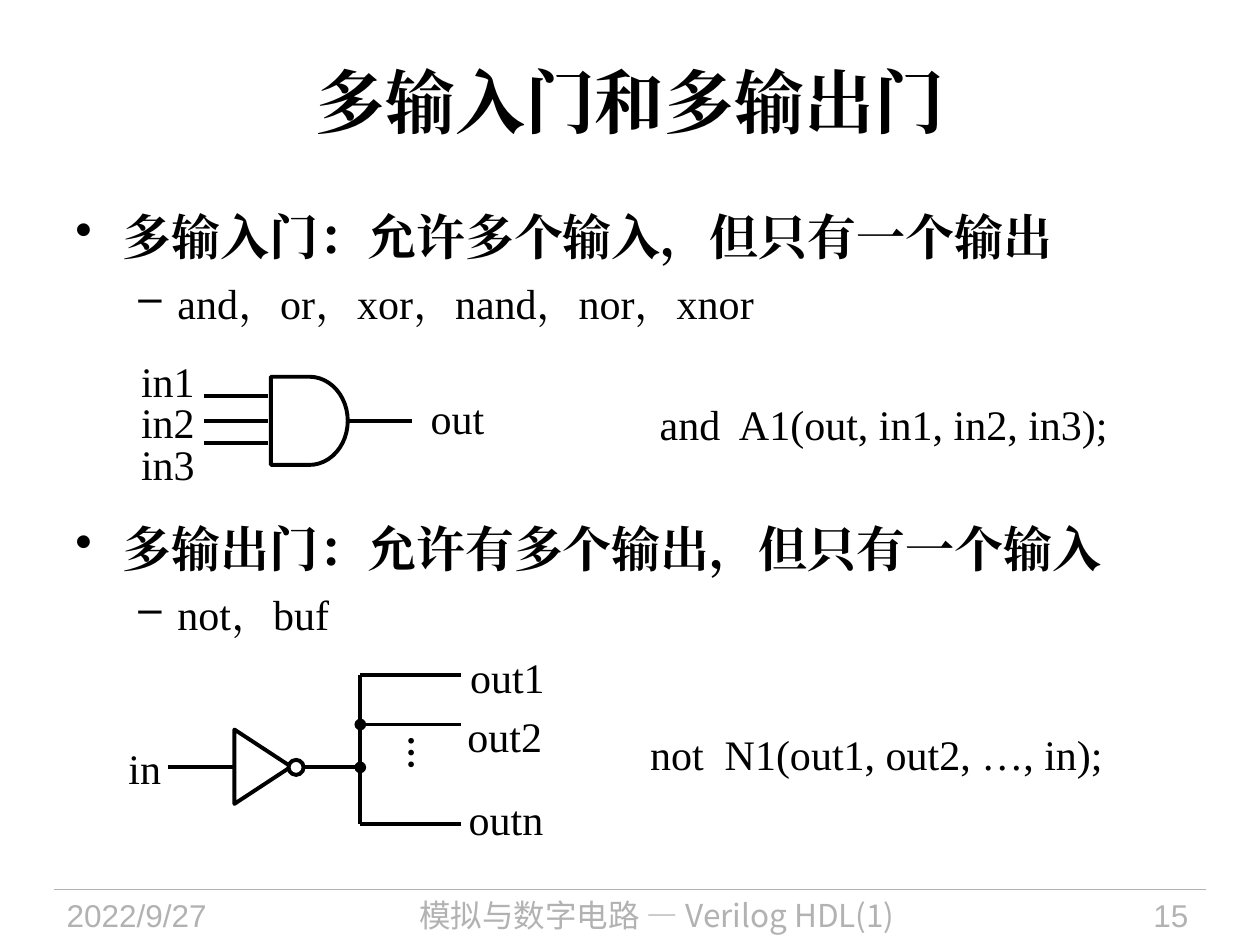
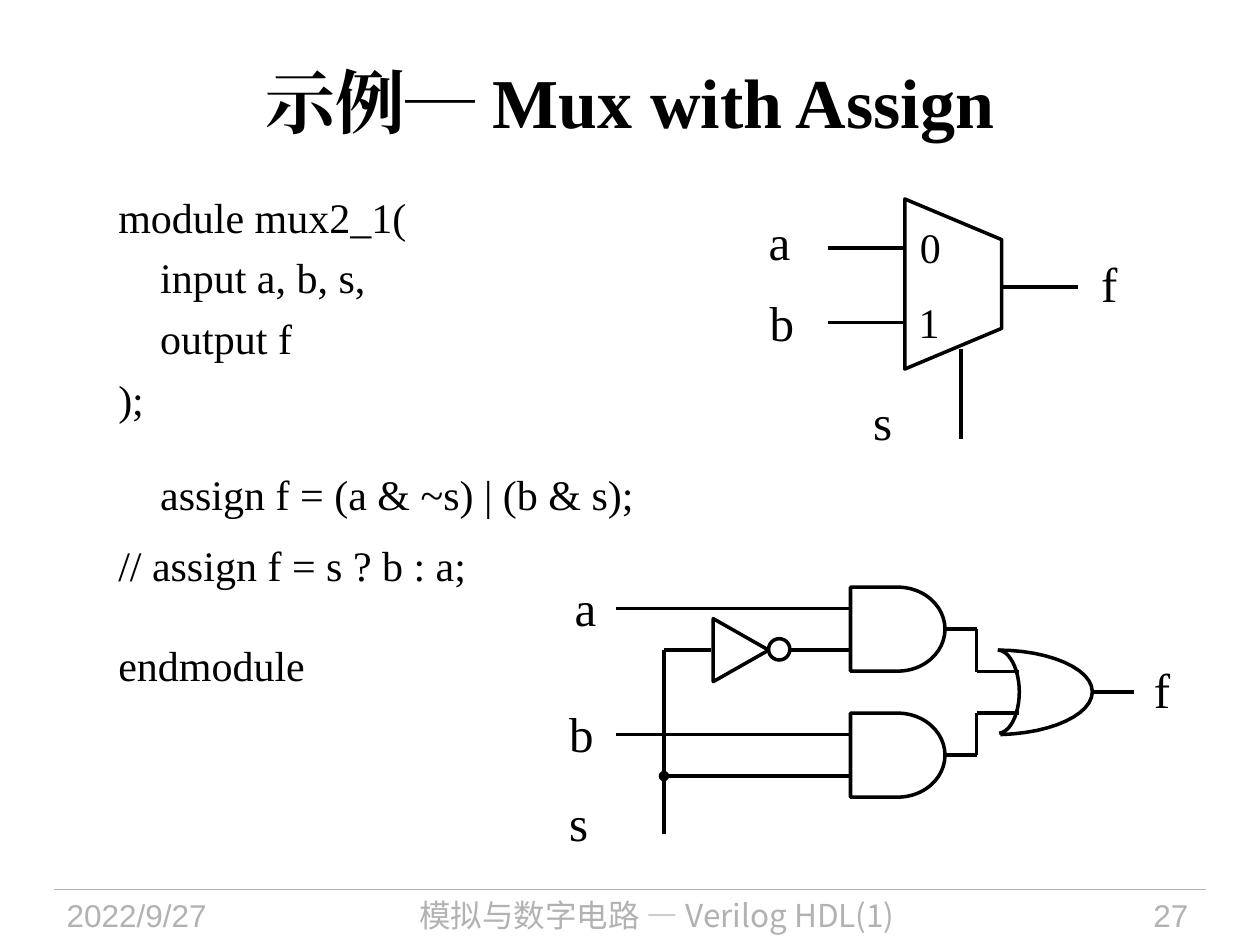
from dataclasses import dataclass

from lxml import etree
from pptx import Presentation
from pptx.dml.color import RGBColor
from pptx.enum.shapes import MSO_CONNECTOR, MSO_SHAPE
from pptx.enum.text import MSO_ANCHOR, PP_ALIGN
from pptx.oxml.ns import qn
from pptx.util import Pt

BLACK = RGBColor(0x00, 0x00, 0x00)
WHITE = RGBColor(0xFF, 0xFF, 0xFF)
GRAY = RGBColor(0xB2, 0xB2, 0xB2)
SERIF, SANS, CJK = "Times New Roman", "Arial", "Noto Sans CJK SC"
LEFT, CENTER, RIGHT = PP_ALIGN.LEFT, PP_ALIGN.CENTER, PP_ALIGN.RIGHT
TOP, MIDDLE = MSO_ANCHOR.TOP, MSO_ANCHOR.MIDDLE
STRAIGHT = MSO_CONNECTOR.STRAIGHT
AND_GATE = MSO_SHAPE.FLOWCHART_DELAY
EXTRACT = MSO_SHAPE.FLOWCHART_EXTRACT
TRIANGLE = MSO_SHAPE.ISOSCELES_TRIANGLE
TRAPEZOID = MSO_SHAPE.TRAPEZOID
CIRCLE = MSO_SHAPE.OVAL
RIGHT_SIDE = 3
THICK, MEDIUM, THIN = 2.25, 2, 0.75
CURVE_STEPS = 12


@dataclass(frozen=True)
class Span:
    text: str
    size: float = 24
    font: str = SERIF
    color: RGBColor = BLACK
    bold: bool = False


@dataclass(frozen=True)
class Line:
    spans: tuple[Span, ...]
    before: float = 0
    bullet: str = ""
    margin: float = 0
    hanging: float = 0


@dataclass(frozen=True)
class Label:
    text: str
    left: float
    top: float
    width: float
    height: float
    size: float = 24
    align: PP_ALIGN = LEFT
    inset: bool = False
    spacing: float = 1.0


@dataclass(frozen=True)
class Wire:
    x1: float
    y1: float
    x2: float
    y2: float
    head: bool = False
    tail: bool = False


def add_text(slide, box, lines, align=LEFT, anchor=TOP, inset=True, spacing=1.0):
    frame = slide.shapes.add_textbox(*map(Pt, box)).text_frame
    frame.word_wrap = True
    frame.vertical_anchor = anchor
    if not inset:
        frame.margin_left = frame.margin_right = 0
        frame.margin_top = frame.margin_bottom = 0
    for index, line in enumerate(lines):
        paragraph = frame.add_paragraph() if index else frame.paragraphs[0]
        paragraph.alignment = align
        paragraph.line_spacing = spacing
        if line.before:
            paragraph.space_before = Pt(line.before)
        if line.bullet:
            properties = paragraph._p.get_or_add_pPr()
            properties.set("marL", str(Pt(line.margin)))
            properties.set("indent", str(-Pt(line.hanging)))
            etree.SubElement(properties, qn("a:buChar")).set("char", line.bullet)
        for span in line.spans:
            run = paragraph.add_run()
            run.text = span.text
            run.font.size = Pt(span.size)
            run.font.bold = span.bold
            run.font.color.rgb = span.color
            run.font.name = span.font
            east_asian = etree.SubElement(run._r.get_or_add_rPr(), qn("a:ea"))
            east_asian.set("typeface", span.font)
    return frame


def add_labels(slide, labels: list[Label]) -> None:
    for label in labels:
        box = (label.left, label.top, label.width, label.height)
        add_text(slide, box, [Line((Span(label.text, label.size),))],
                 label.align, inset=label.inset, spacing=label.spacing)


def add_wire(slide, wire: Wire, weight: float, color: RGBColor = BLACK):
    ends = (wire.x1, wire.y1, wire.x2, wire.y2)
    connector = slide.shapes.add_connector(STRAIGHT, *map(Pt, ends))
    connector.line.width = Pt(weight)
    connector.line.color.rgb = color
    outline = connector.line._get_or_add_ln()
    for tag, dotted in (("a:headEnd", wire.head), ("a:tailEnd", wire.tail)):
        if dotted:
            etree.SubElement(outline, qn(tag)).set("type", "oval")
    etree.SubElement(connector._element.spPr, qn("a:effectLst"))
    return connector


def add_wires(slide, wires: list[Wire], weight: float) -> None:
    for wire in wires:
        add_wire(slide, wire, weight)


def style_outline(shape, weight: float, filled: bool = False) -> None:
    shape.shadow.inherit = False
    if filled:
        shape.fill.solid()
        shape.fill.fore_color.rgb = WHITE
    else:
        shape.fill.background()
    shape.line.color.rgb = BLACK
    shape.line.width = Pt(weight)


def add_symbol(slide, kind, box, weight: float, filled=False, rotation=0):
    symbol = slide.shapes.add_shape(kind, *map(Pt, box))
    style_outline(symbol, weight, filled)
    symbol.rotation = rotation
    return symbol


def add_and_gate(slide, box, output_x: float, weight: float) -> None:
    left, top, width, height = box
    gate = add_symbol(slide, AND_GATE, box, weight)
    middle = top + height / 2
    output = add_wire(slide, Wire(left + width, middle, output_x, middle), weight)
    output.begin_connect(gate, RIGHT_SIDE)


def bezier(p0, p1, p2, p3) -> list[tuple[int, int]]:
    points = []
    for step in range(1, CURVE_STEPS + 1):
        t = step / CURVE_STEPS
        weights = ((1 - t) ** 3, 3 * t * (1 - t) ** 2, 3 * t * t * (1 - t), t ** 3)
        points.append(tuple(
            Pt(sum(w * p[axis] for w, p in zip(weights, (p0, p1, p2, p3))))
            for axis in (0, 1)))
    return points


def add_curve(slide, knots, weight: float) -> None:
    builder = slide.shapes.build_freeform(*map(Pt, knots[0]))
    for start in range(0, len(knots) - 1, 3):
        builder.add_line_segments(bezier(*knots[start:start + 4]), close=False)
    style_outline(builder.convert_to_shape(), weight)


def new_slide(deck, title: tuple[Span, ...], number: str):
    slide = deck.slides.add_slide(deck.slide_layouts[6])
    add_wire(slide, Wire(31, 508.3, 689, 508.3), THIN, GRAY)
    add_text(slide, (36, 12.2, 648, 90), [Line(title)], CENTER, MIDDLE)
    footers = (
        ("2022/9/27", 31, 135.4, SANS, LEFT),
        ("模拟与数字电路 — Verilog HDL(1)", 172.8, 405.4, CJK, CENTER),
        (number, 590.4, 95.8, SANS, RIGHT),
    )
    for text, left, width, font, align in footers:
        add_text(slide, (left, 508.3, width, 31.7),
                 [Line((Span(text, 18, font, GRAY),))], align)
    return slide


def topic(text: str, before: float = 0) -> Line:
    return Line((Span(text, 28, bold=True),), before, "•", 27, 27)


def gate_names(text: str) -> Line:
    return Line((Span(text),), 6.7, "–", 58.3, 22.3)


def build_gates_slide(deck) -> None:
    slide = new_slide(deck, (Span("多输入门和多输出门", 40, bold=True),), "15")
    add_text(slide, (36, 114.5, 648, 388), [
        topic("多输入门：允许多个输入，但只有一个输出"),
        gate_names("and，or，xor，nand，nor，xnor"),
        topic("多输出门：允许有多个输出，但只有一个输入", 109),
        gate_names("not，buf"),
    ])
    for call, box in (
        ("and  A1(out, in1, in2, in3);", (366, 223.9, 277.9, 36)),
        ("not  N1(out1, out2, …, in);", (362.9, 412.6, 275.8, 36)),
    ):
        add_text(slide, box, [Line((Span(call),))], CENTER, MIDDLE)

    add_and_gate(slide, (154.8, 215.3, 43.9, 50.4), 235.4, THICK)
    add_wires(slide, [Wire(116.6, y, 153.4, y) for y in (226.1, 240.5, 253.4)], THICK)
    add_labels(slide, [Label(f"in{i + 1}", 80.6, 203 + 23.8 * i, 37.4, 28.8)
                       for i in range(3)])

    bus_x, branch_end = 205.9, 263.5
    top_y, middle_y, bottom_y = 385.9, 414, 470.9
    add_wires(slide, [
        Wire(249.1, 463, 249.1, 463),
        Wire(bus_x, bottom_y, bus_x, top_y),
        Wire(bus_x, top_y, branch_end, top_y),
        Wire(bus_x, middle_y, branch_end, middle_y, head=True),
        Wire(bus_x, bottom_y, branch_end, bottom_y),
        Wire(95.8, 438.5, bus_x, 438.5, tail=True),
    ], THICK)
    add_labels(slide, [
        Label("out", 239, 221, 50.4, 36, inset=True),
        Label("in", 73.4, 424.1, 29.5, 23),
        Label("out1", 268.6, 372.2, 46, 36),
        Label("out2", 267.1, 406.1, 46, 22.3),
        Label("outn", 267.8, 453.6, 46, 23.8),
    ])
    ellipsis = add_text(slide, (229.7, 420.5, 23.8, 44.6),
                        [Line((Span("…", 20, bold=True),))], anchor=MIDDLE, inset=False)
    ellipsis._txBody.bodyPr.set("vert", "eaVert")
    add_symbol(slide, EXTRACT, (128.9, 421.9, 42.5, 32.4), THICK, True, 90)
    add_symbol(slide, CIRCLE, (164.9, 434.2, 8.6, 8.6), THICK, True)


def build_mux_slide(deck) -> None:
    slide = new_slide(deck, (
        Span("示例", 40, bold=True),
        Span("─", 40, CJK, bold=True),
        Span(" Mux with Assign", 40, bold=True),
    ), "27")
    code = (
        ("module mux2_1(", 0),
        ("    input a, b, s,", 5.8),
        ("    output f", 5.8),
        (");", 5.8),
        ("    assign f = (a & ~s) | (b & s);", 25.6),
        ("// assign f = s ? b : a;", 11.8),
        ("endmodule", 28.4),
    )
    add_text(slide, (60.5, 105.8, 517.7, 396.7),
             [Line((Span(text),), before) for text, before in code])

    join_x, select_x, input_x, gate_x = 558, 379.4, 352.1, 486
    for gate_top in (335.5, 407.5):
        add_and_gate(slide, (gate_x, gate_top, 54, 48), join_x, MEDIUM)
    add_wires(slide, [
        Wire(input_x, 347.8, gate_x, 347.8),
        Wire(input_x, 419.8, gate_x, 419.8),
        Wire(select_x, 443.5, gate_x, 443.5, head=True),
        Wire(select_x, 371.5, select_x, 476.6),
        Wire(select_x, 371.5, 406.1, 371.5),
        Wire(451.4, 371.5, gate_x, 371.5),
        Wire(join_x, 359.5, join_x, 383.8),
        Wire(join_x, 407.5, join_x, 431.5),
        Wire(join_x, 383.8, 582.5, 383.8),
        Wire(join_x, 407.5, 582.5, 407.5),
        Wire(624.2, 395.3, 648, 395.3),
    ], MEDIUM)
    or_back = ((570.2, 371.5), (576.7, 371.5), (582.5, 382.3), (582.5, 395.3),
               (582.5, 408.2), (577.4, 418.3), (571, 419))
    or_front = ((570.2, 371.5), (599.8, 371.5), (624.2, 382.3), (624.2, 395.3),
                (624.2, 408.2), (601.2, 419), (571.7, 419.8))
    for knots in (or_back, or_front):
        add_curve(slide, knots, MEDIUM)
    add_symbol(slide, TRIANGLE, (405.4, 355.7, 36, 31.7), MEDIUM, rotation=90)
    add_symbol(slide, CIRCLE, (439.2, 365, 12.2, 12.2), MEDIUM, True)
    add_labels(slide, [
        Label("a", 312.5, 331.9, 35.3, 36, 28, RIGHT, True, 0.85),
        Label("b", 309.6, 403.9, 36.7, 36, 28, RIGHT, True, 0.85),
        Label("s", 318.2, 454.3, 54, 36, 28, LEFT, True, 0.85),
        Label("f", 652.3, 378.7, 36, 36, 28, LEFT, True, 0.85),
    ])

    add_wires(slide, [
        Wire(549.4, 250.6, 549.4, 199.4),
        Wire(473, 184.3, 517, 184.3),
        Wire(473, 141.8, 517, 141.8),
        Wire(572.4, 164.2, 616.3, 164.2),
    ], THICK)
    add_labels(slide, [
        Label("a", 439.2, 121, 12.5, 33.8, 28),
        Label("b", 432.7, 163.4, 28.8, 41, 28, inset=True),
        Label("s", 491.8, 220.3, 25.5, 41, 28, inset=True),
        Label("f", 622.1, 141.1, 23.8, 41, 28, inset=True),
        Label("0", 525.6, 126.7, 12.2, 28.8),
        Label("1", 524.9, 169.2, 12.2, 28.8),
    ])
    mux = add_symbol(slide, TRAPEZOID, (496.1, 134.6, 97.2, 55.4), MEDIUM, rotation=90)
    mux.adjustments[0] = 0.42


def main() -> None:
    deck = Presentation()
    deck.slide_width, deck.slide_height = Pt(720), Pt(540)
    build_gates_slide(deck)
    build_mux_slide(deck)
    deck.save("out.pptx")


if __name__ == "__main__":
    main()
